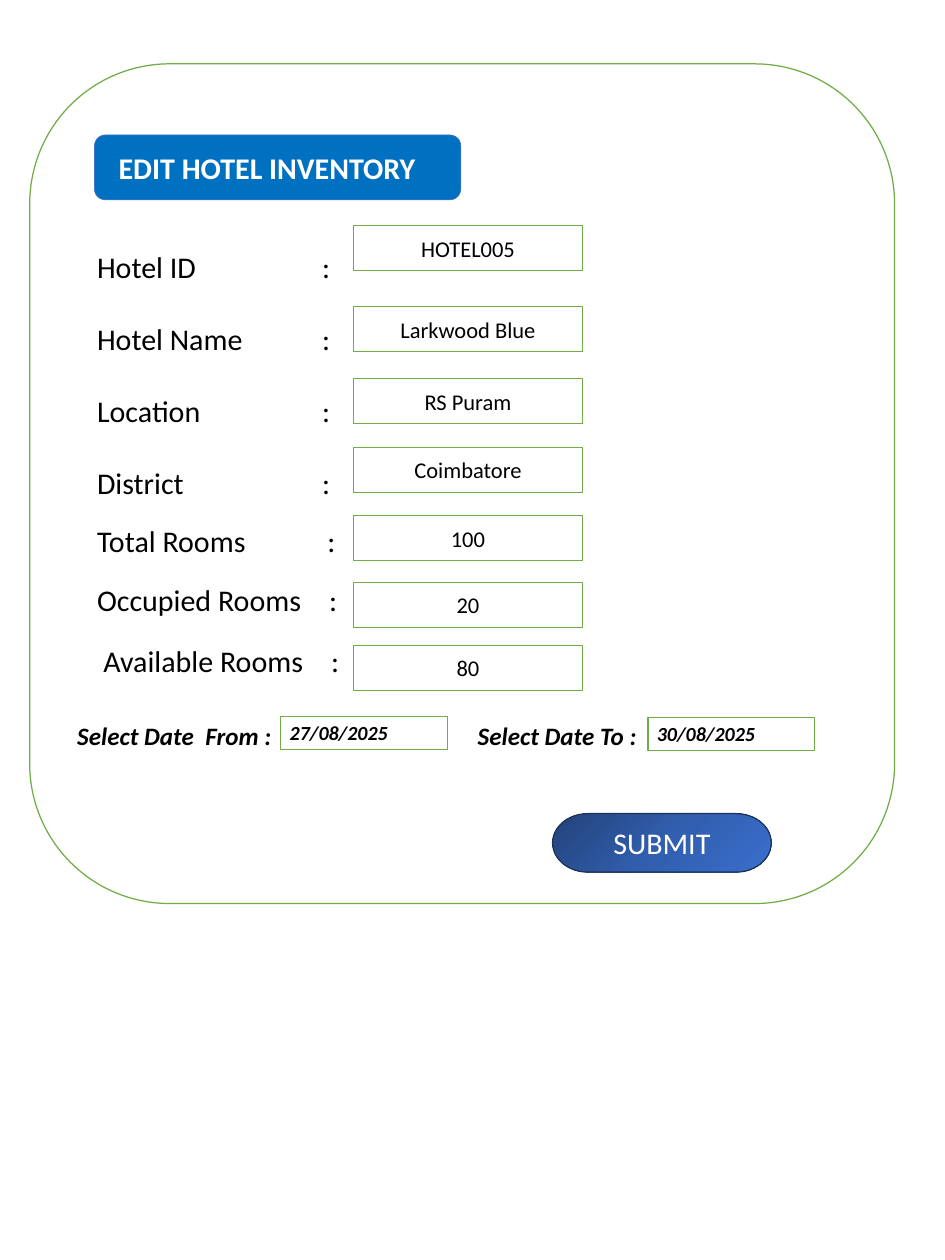
from copy import deepcopy

from lxml import etree
from pptx import Presentation
from pptx.dml.color import RGBColor
from pptx.enum.shapes import MSO_SHAPE
from pptx.enum.text import MSO_ANCHOR, PP_ALIGN
from pptx.oxml.ns import qn
from pptx.util import Inches, Pt

RECTANGLE = MSO_SHAPE.RECTANGLE
ROUNDED = MSO_SHAPE.ROUNDED_RECTANGLE
TERMINATOR = MSO_SHAPE.FLOWCHART_TERMINATOR
TOP, MIDDLE = MSO_ANCHOR.TOP, MSO_ANCHOR.MIDDLE
LEFT, CENTER = PP_ALIGN.LEFT, PP_ALIGN.CENTER
BLACK, WHITE, GREEN = "000000", "FFFFFF", "70AD47"


def add_box(parent, kind, place, fill=WHITE, line=GREEN, width=1):
    shape = parent.shapes.add_shape(kind, *[Inches(value) for value in place])
    shape.shadow.inherit = False
    shape.fill.solid()
    shape.fill.fore_color.rgb = RGBColor.from_string(fill)
    shape.line.color.rgb = RGBColor.from_string(line)
    shape.line.width = Pt(width)
    return shape


def write(shape, lines, size, color=BLACK, strong=False, italic=False,
          align=LEFT, anchor=TOP, spacing=None, tab=None):
    frame = shape.text_frame
    frame.word_wrap = True
    frame.vertical_anchor = anchor
    for index, line in enumerate(lines):
        paragraph = frame.paragraphs[0] if index == 0 else frame.add_paragraph()
        paragraph.alignment = align
        if spacing:
            paragraph.line_spacing = spacing
        if tab:
            tabs = etree.SubElement(paragraph._p.get_or_add_pPr(), qn("a:tabLst"))
            etree.SubElement(tabs, qn("a:tab"), pos=str(Inches(tab)), algn="l")
        run = paragraph.add_run()
        run.text = line
        run.font.name = "Calibri"
        run.font.size = Pt(size)
        run.font.bold = strong
        run.font.italic = italic
        run.font.color.rgb = RGBColor.from_string(color)


presentation = Presentation()
presentation.slide_width = Inches(10.5)
presentation.slide_height = Inches(14)
slide = presentation.slides.add_slide(presentation.slide_layouts[6])

# Form panel
add_box(slide, ROUNDED, (0.33, 0.71, 9.61, 9.33))

# Title
title_group = slide.shapes.add_group_shape()
add_box(title_group, ROUNDED, (1.05, 1.5, 4.07, 0.72), "0070C0", "4472C4", 0.5)
title = title_group.shapes.add_textbox(Inches(1.22), Inches(1.61), Inches(5.1), Inches(0.5))
write(title, ["EDIT HOTEL INVENTORY"], 24, WHITE, strong=True)

# Submit button with a diagonal gradient
button = add_box(slide, TERMINATOR, (6.14, 9.04, 2.43, 0.65), line="1E3256")
button.fill.gradient()
button.fill.gradient_angle = 315
stop_list = button._element.spPr.find(".//" + qn("a:gsLst"))
stop_list.append(deepcopy(stop_list[0]))
stops = [(0, "23427A"), (0.5, "315EAD"), (1, "3A6FCE")]
for stop, (position, color) in zip(button.fill.gradient_stops, stops):
    stop.position = position
    stop.color.rgb = RGBColor.from_string(color)
write(button, ["SUBMIT"], 24, WHITE, align=CENTER, anchor=MIDDLE)

# Hotel labels, with the colons on a tab stop
labels = slide.shapes.add_textbox(Inches(0.98), Inches(2.31), Inches(5.59), Inches(3.22))
write(labels, ["Hotel ID\t:", "Hotel Name\t:", "Location\t:", "District\t:"],
      24, spacing=2, tab=2.5)

# Field values
fields = [("HOTEL005", 2.51), ("Larkwood Blue", 3.41), ("RS Puram", 4.21),
          ("Coimbatore", 4.97), ("100", 5.73), ("20", 6.47), ("80", 7.17)]
for value, top in fields:
    field = add_box(slide, RECTANGLE, (3.93, top, 2.54, 0.5))
    write(field, [value], 18, align=CENTER, anchor=MIDDLE)

# Room labels
rooms = [("Total Rooms\t:", 0.98, 5.76, 2.56), ("Occupied Rooms\t:", 0.98, 6.41, 2.58),
         ("Available Rooms\t:", 1.05, 7.09, 2.53)]
for text, left, top, tab in rooms:
    label = slide.shapes.add_textbox(Inches(left), Inches(top), Inches(2.9), Inches(0.5))
    write(label, [text], 24, tab=tab)

# Date range
dates = [("Select Date  From :", 0.76, "27/08/2025", 3.12, 7.96),
         ("Select Date To :", 5.21, "30/08/2025", 7.2, 7.97)]
for text, label_left, date, date_left, date_top in dates:
    date_group = slide.shapes.add_group_shape()
    label = date_group.shapes.add_textbox(
        Inches(label_left), Inches(7.96), Inches(2.49), Inches(0.44))
    write(label, [text], 20, strong=True, italic=True)
    field = add_box(date_group, RECTANGLE, (date_left, date_top, 1.85, 0.37))
    write(field, [date], 16, strong=True, italic=True)

presentation.save("out.pptx")
